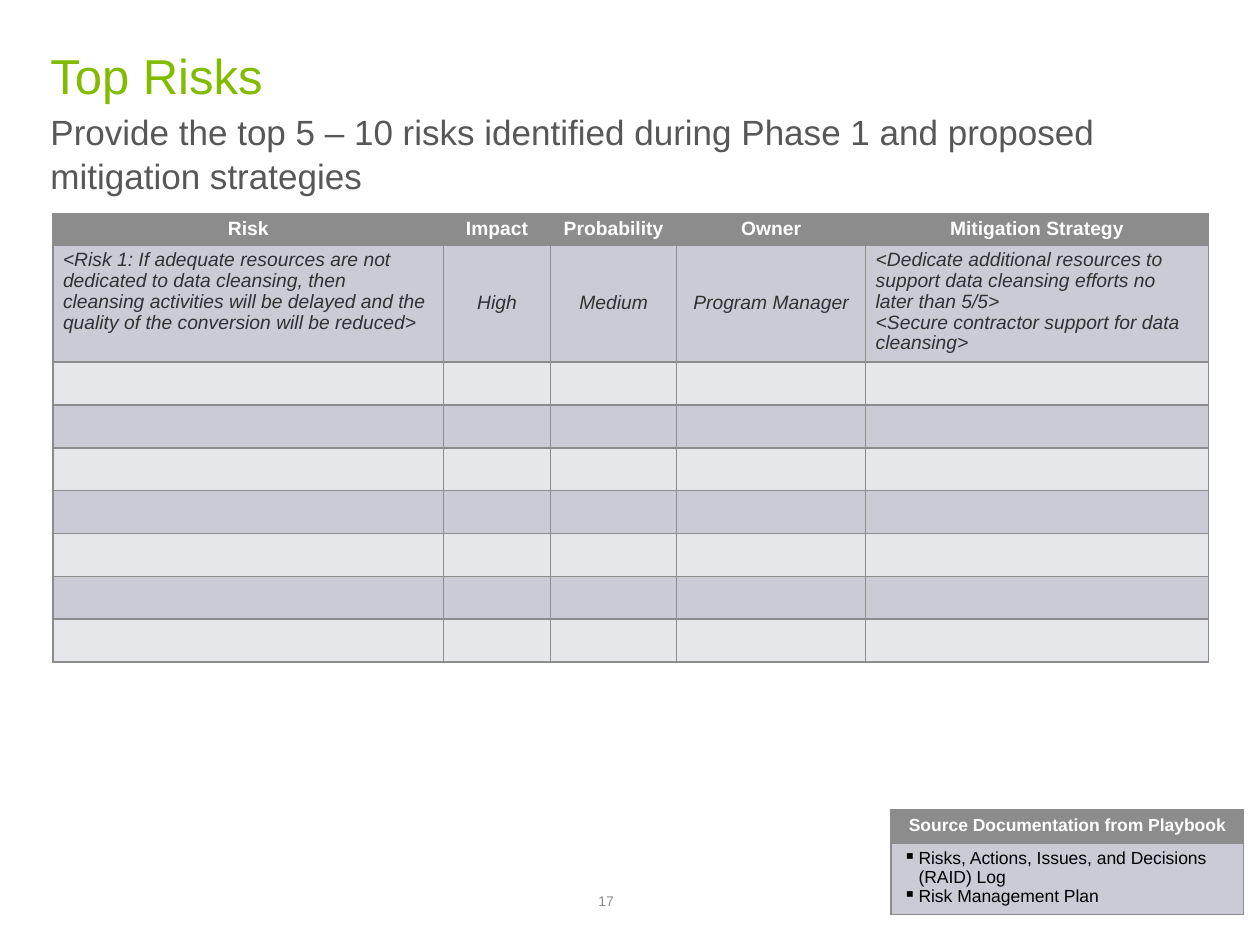
"""Build the Top Risks slide with its risk table and source documentation box."""
from dataclasses import dataclass
from typing import Any

from lxml.etree import SubElement
from pptx import Presentation
from pptx.dml.color import RGBColor
from pptx.enum.text import MSO_ANCHOR, MSO_AUTO_SIZE, PP_ALIGN
from pptx.oxml.ns import qn
from pptx.util import Inches, Pt


@dataclass(frozen=True)
class Theme:
    """Colours, font and type sizes of the slide."""
    font: str = "Arial"
    title: str = "81BC00"
    subtitle: str = "575757"
    gray: str = "8C8C8C"
    white: str = "FFFFFF"
    dark: str = "313131"
    black: str = "000000"
    bands: tuple[str, str] = ("CACBD5", "E6E7EB")
    title_size: int = 28
    subtitle_size: int = 20
    table_size: int = 11
    source_size: int = 10
    number_size: int = 8
    table_spacing: float = 0.97
    subtitle_spacing: float = 1.05


@dataclass(frozen=True)
class Box:
    """Position and size in inches."""
    left: float
    top: float
    width: float
    height: float

    def lengths(self) -> list[int]:
        """Return left, top, width and height as lengths."""
        return [Inches(value) for value in (self.left, self.top, self.width, self.height)]


@dataclass(frozen=True)
class TextStyle:
    """Look of a run of text."""
    size: int
    color: str
    bold: bool = False
    italic: bool = False


@dataclass(frozen=True)
class TableSpec:
    """Content and measures of a table, with text lines split by newlines."""
    left: float
    top: float
    columns: tuple[float, ...]
    heights: tuple[float, ...]
    rows: tuple[tuple[str, ...], ...]
    header: TextStyle
    body: TextStyle
    inset: tuple[float, float]
    centered: tuple[int, ...] = ()
    bullet: str = ""


THEME = Theme()

RISKS = TableSpec(
    0.42, 1.7, (3.1, 0.85, 1, 1.5, 2.72), (0.24, 0.93) + (0.34,) * 7,
    (
        ("Risk", "Impact", "Probability", "Owner", "Mitigation Strategy"),
        (
            "<Risk 1: If adequate resources are not dedicated to data cleansing, then cleansing "
            "activities will be delayed and the quality of the conversion will be reduced>",
            "High", "Medium", "Program Manager",
            "<Dedicate additional resources to support data cleansing efforts no later than 5/5>\n"
            "<Secure contractor support for data cleansing>",
        ),
    ) + (("",) * 5,) * 7,
    TextStyle(THEME.table_size, THEME.white, bold=True),
    TextStyle(THEME.table_size, THEME.dark, italic=True),
    (0.08, 0.04), centered=(1, 2, 3),
)

SOURCES = TableSpec(
    7.07, 6.43, (2.8,), (0.26, 0.57),
    (
        ("Source Documentation from Playbook",),
        ("Risks, Actions, Issues, and Decisions (RAID) Log\nRisk Management Plan",),
    ),
    TextStyle(THEME.source_size, THEME.white, bold=True),
    TextStyle(THEME.source_size, THEME.black),
    (0.1, 0.05), bullet="▪",
)


def apply_format(target: Any, values: dict[str, Any]) -> None:
    """Set each named attribute on the target."""
    for name, value in values.items():
        setattr(target, name, value)


def add_text(paragraph: Any, text: str, style: TextStyle) -> None:
    """Add a styled run to the paragraph."""
    run = paragraph.add_run()
    run.text = text
    apply_format(run.font, {"name": THEME.font, "size": Pt(style.size),
                            "bold": style.bold, "italic": style.italic})
    run.font.color.rgb = RGBColor.from_string(style.color)


def set_bullet(paragraph: Any, character: str, indent: float) -> None:
    """Give the paragraph a bullet, or none when the character is empty."""
    properties = paragraph._p.get_or_add_pPr()
    properties.set("marL", str(Inches(indent)))
    properties.set("indent", str(-Inches(indent)))
    if character:
        color = SubElement(properties, qn("a:buClr"))
        SubElement(color, qn("a:srgbClr"), val=THEME.black)
        SubElement(properties, qn("a:buChar"), char=character)
    else:
        SubElement(properties, qn("a:buNone"))


def fill_text_box(shape: Any, box: Box, text: str, style: TextStyle,
                  anchor: MSO_ANCHOR, spacing: float = 1.0) -> None:
    """Place a text shape and write its one paragraph."""
    apply_format(shape, dict(zip(("left", "top", "width", "height"), box.lengths())))
    apply_format(shape.text_frame, {
        "margin_left": 0, "margin_right": 0, "margin_top": 0, "margin_bottom": 0,
        "word_wrap": True, "auto_size": MSO_AUTO_SIZE.NONE, "vertical_anchor": anchor})
    paragraph = shape.text_frame.paragraphs[0]
    apply_format(paragraph, {"alignment": PP_ALIGN.LEFT, "line_spacing": spacing,
                             "space_before": Pt(0)})
    set_bullet(paragraph, "", 0)
    add_text(paragraph, text, style)


def set_borders(cell: Any) -> None:
    """Draw a thin gray line on all four sides of the cell."""
    properties = cell._tc.get_or_add_tcPr()
    for side in ("lnL", "lnR", "lnT", "lnB"):
        line = SubElement(properties, qn(f"a:{side}"), w=str(Pt(1)))
        fill = SubElement(line, qn("a:solidFill"))
        SubElement(fill, qn("a:srgbClr"), val=THEME.gray)


def fill_cell(cell: Any, spec: TableSpec, row: int, column: int) -> None:
    """Write and format one table cell."""
    is_header = row == 0
    style = spec.header if is_header else spec.body
    is_centered = is_header or column in spec.centered
    horizontal, vertical = (Inches(value) for value in spec.inset)
    apply_format(cell, {
        "margin_left": horizontal, "margin_right": horizontal,
        "margin_top": vertical, "margin_bottom": vertical,
        "vertical_anchor": MSO_ANCHOR.MIDDLE if column in spec.centered else MSO_ANCHOR.TOP})
    set_borders(cell)
    cell.fill.solid()
    color = THEME.gray if is_header else THEME.bands[(row - 1) % 2]
    cell.fill.fore_color.rgb = RGBColor.from_string(color)
    for index, text in enumerate(spec.rows[row][column].split("\n")):
        frame = cell.text_frame
        paragraph = frame.add_paragraph() if index else frame.paragraphs[0]
        apply_format(paragraph, {
            "alignment": PP_ALIGN.CENTER if is_centered else PP_ALIGN.LEFT,
            "line_spacing": THEME.table_spacing})
        if spec.bullet and not is_header:
            set_bullet(paragraph, spec.bullet, 0.12)
        if text:
            add_text(paragraph, text, style)
        else:
            SubElement(paragraph._p, qn("a:endParaRPr"), sz=str(style.size * 100))


def add_risk_table(slide: Any, spec: TableSpec) -> None:
    """Add a table with a gray header and banded rows."""
    box = Box(spec.left, spec.top, sum(spec.columns), sum(spec.heights))
    table = slide.shapes.add_table(len(spec.heights), len(spec.columns), *box.lengths()).table
    for column, width in enumerate(spec.columns):
        table.columns[column].width = Inches(width)
    for row, height in enumerate(spec.heights):
        table.rows[row].height = Inches(height)
        for column in range(len(spec.columns)):
            fill_cell(table.cell(row, column), spec, row, column)


def main() -> None:
    """Build and save the presentation."""
    presentation = Presentation()
    apply_format(presentation, {"slide_width": Inches(10), "slide_height": Inches(7.5)})
    slide = presentation.slides.add_slide(presentation.slide_layouts[1])
    fill_text_box(slide.shapes.title, Box(0.4, 0.32, 9.2, 0.51), "Top Risks",
                  TextStyle(THEME.title_size, THEME.title), MSO_ANCHOR.BOTTOM)
    fill_text_box(slide.placeholders[1], Box(0.4, 0.86, 9.2, 0.83),
                  "Provide the top 5 – 10 risks identified during Phase 1 "
                  "and proposed mitigation strategies",
                  TextStyle(THEME.subtitle_size, THEME.subtitle), MSO_ANCHOR.TOP,
                  THEME.subtitle_spacing)
    number_box = Box(4.75, 7.09, 0.5, 0.13)
    fill_text_box(slide.shapes.add_textbox(*number_box.lengths()), number_box, "17",
                  TextStyle(THEME.number_size, THEME.gray), MSO_ANCHOR.BOTTOM)
    for spec in (RISKS, SOURCES):
        add_risk_table(slide, spec)
    presentation.save("out.pptx")


if __name__ == "__main__":
    main()
